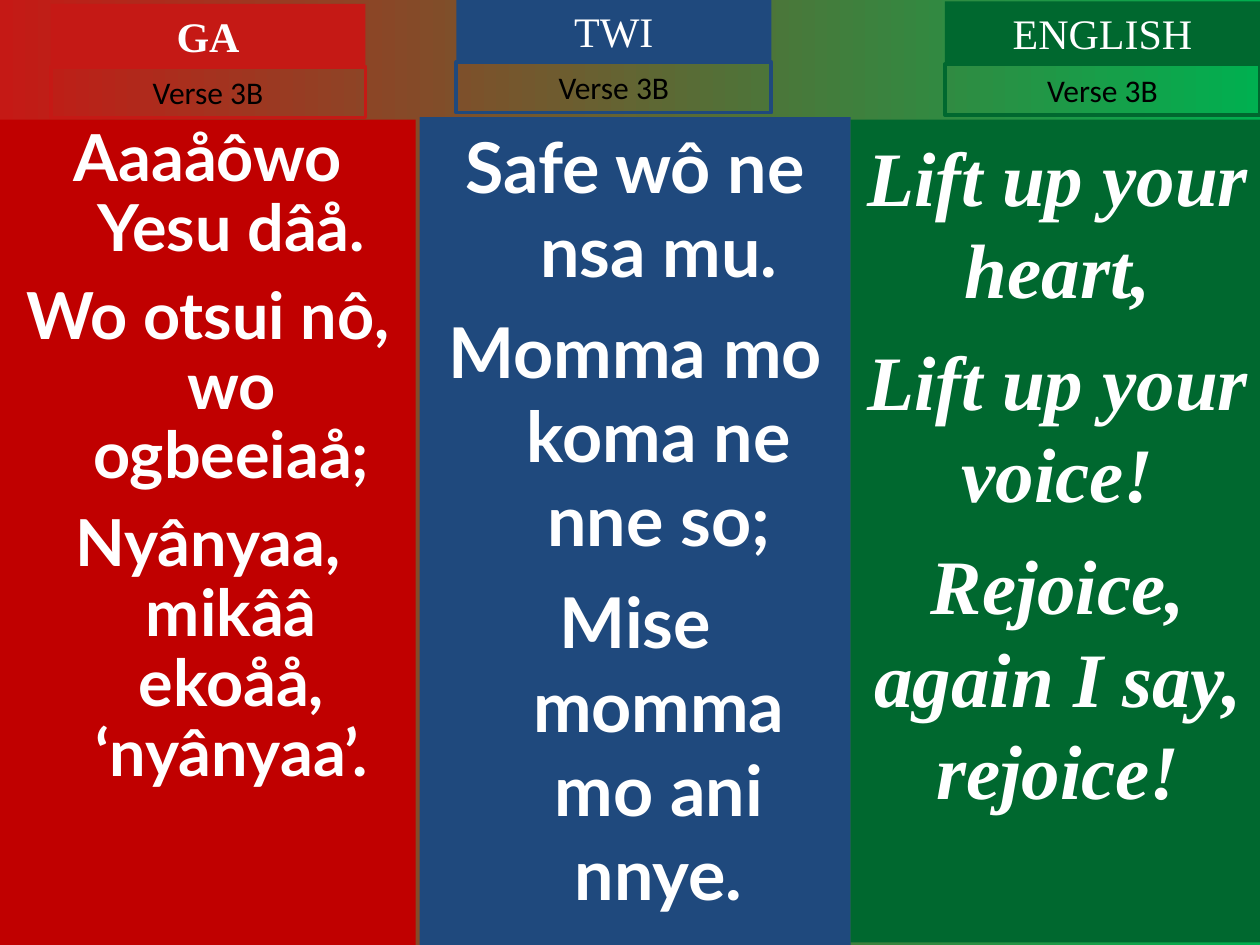
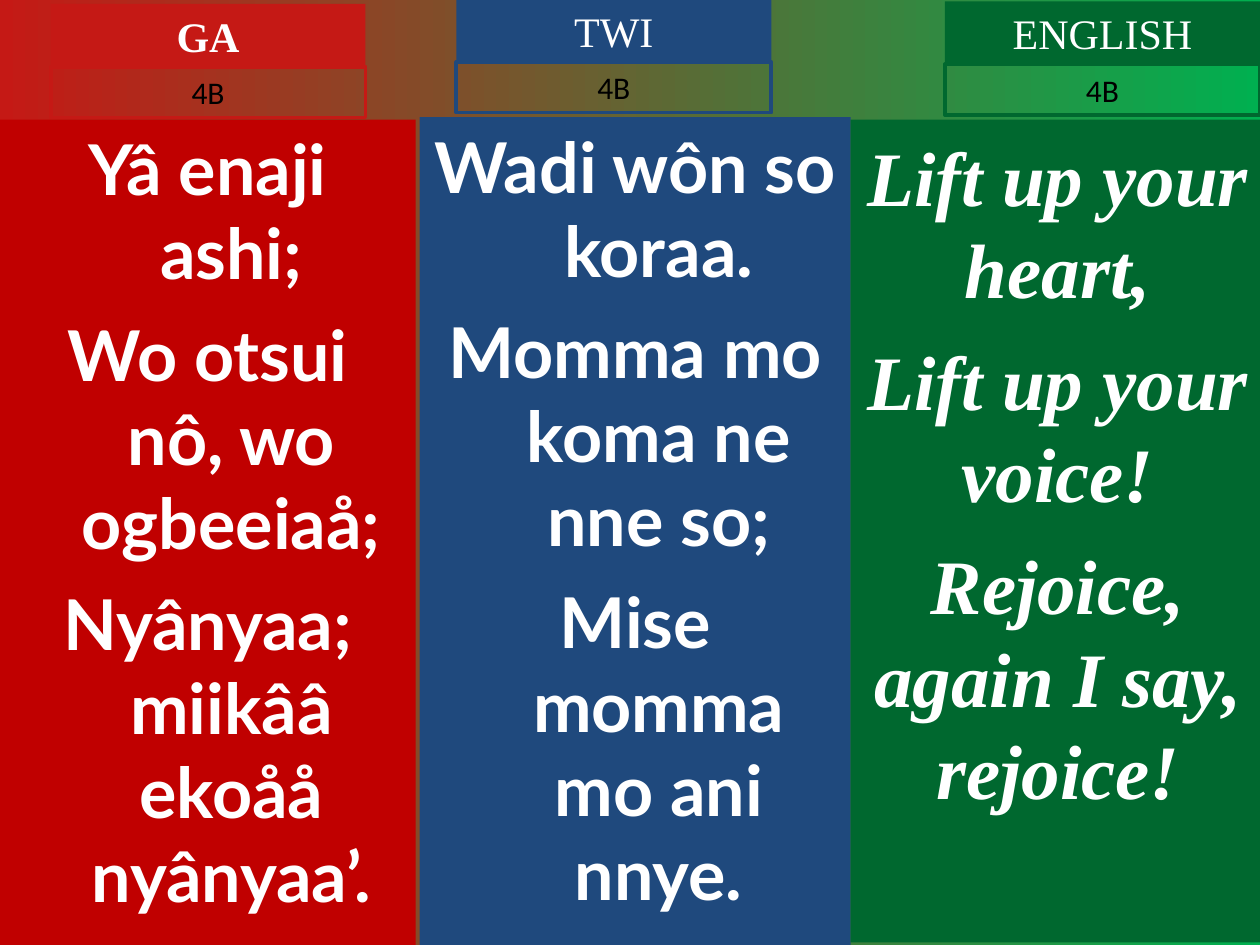
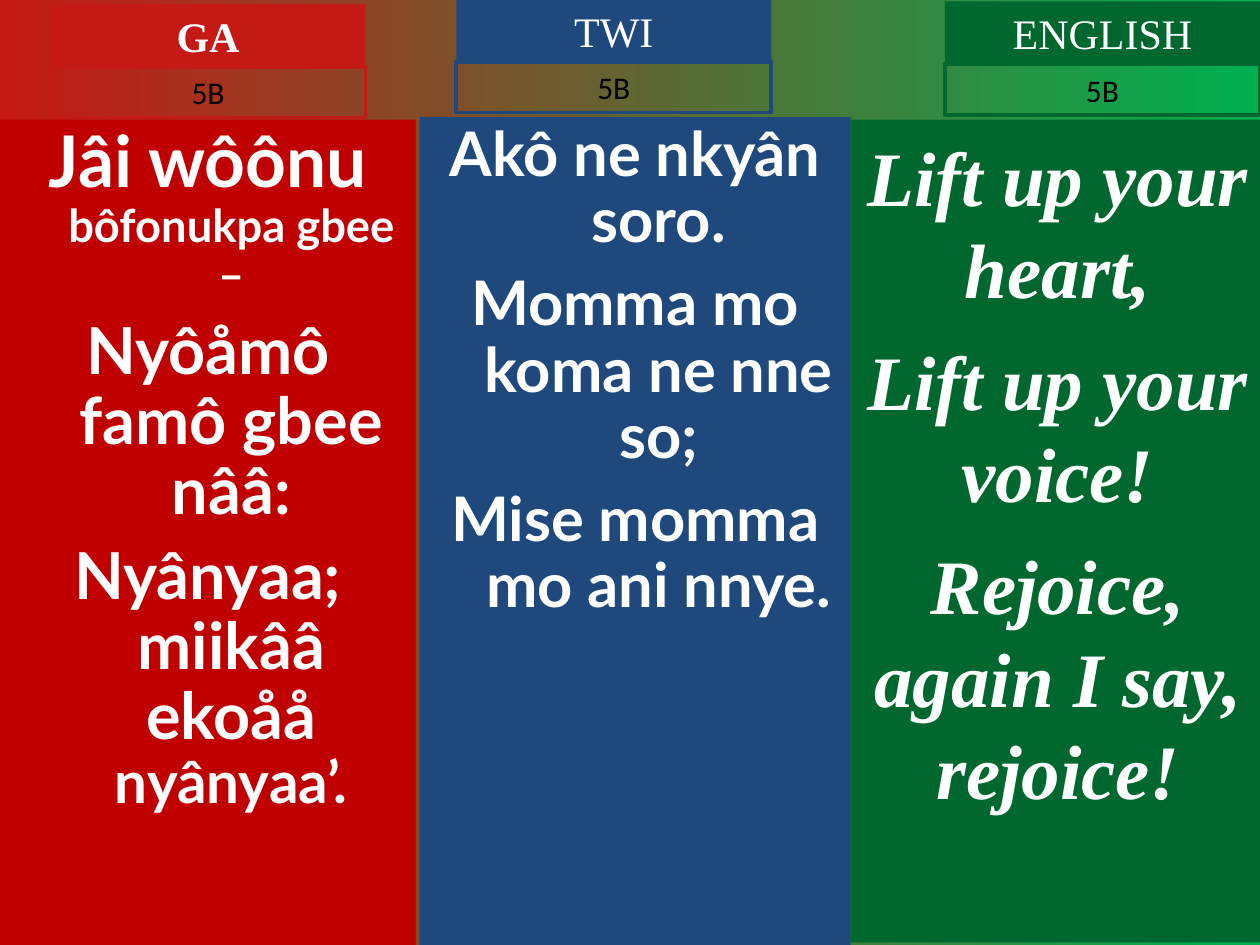
import pptx
import pptx.dml.color
import pptx.enum.shapes
import pptx.enum.text
import pptx.util
from dataclasses import dataclass

Cm = pptx.util.Cm
Pt = pptx.util.Pt
RGB = pptx.dml.color.RGBColor

RED = RGB(0xC5, 0x19, 0x15)
DEEP = RGB(0xC0, 0x00, 0x00)
BLUE = RGB(0x1F, 0x49, 0x7D)
GREEN = RGB(0x00, 0x68, 0x2F)
LIME = RGB(0x00, 0xB0, 0x50)
WHITE = RGB(0xFF, 0xFF, 0xFF)
BLACK = RGB(0x00, 0x00, 0x00)

LATO, TIMES, BODY = "Lato", "Times New Roman", "Calibri"
HANG = 0.95
HEAD_W, HEAD_H, TAG_H = 6.35, 1.27, 1.02


@dataclass
class Column:
    name: str
    box: tuple
    fill: RGB
    head: tuple  # left and top of the heading
    tint: RGB
    font: str = LATO
    bold: bool = False  # heading weight
    slant: bool = False
    hang: float = HANG
    inset: float = 0.13


@dataclass
class Verse:
    """Paragraphs are lists of (text, size) runs."""
    paras: list
    lead: object = 1.0
    gaps: tuple = (0, 10, 10)


def plain(lines, size, **style):
    return Verse([[(line, size)] for line in lines], **style)


COLS = [
    Column("GA", (0, 2.41, 8.38, 16.64), DEEP, (1.02, 0.08), RED, bold=True),
    Column("TWI", (8.46, 2.36, 8.69, 16.69), BLUE, (9.2, -0.02), BLUE),
    Column("ENGLISH", (17.15, 2.41, 8.36, 16.59), GREEN, (19.05, 0.03), GREEN,
           font=TIMES, slant=True, hang=0, inset=0.2),
]

CALL = ["Momma mo koma ne nne so;", "Mise momma mo ani nnye."]
LIFT = plain(["Lift up your heart,", "Lift up your voice!",
              "Rejoice, again I say, rejoice!"],
             44, lead=Pt(52.8), gaps=(0, 11, 11))

SONG = [
    ("Verse 3B", [
        plain(["Aaaåôwo Yesu dâå.", "Wo otsui nô, wo ogbeeiaå;",
               "Nyânyaa, mikââ ekoåå, ‘nyânyaa’."], 37, lead=0.9),
        plain(["Safe wô ne nsa mu."] + CALL, 40),
        LIFT]),
    ("4B", [
        plain(["Yâ enaji ashi;", "Wo otsui nô, wo ogbeeiaå;",
               "Nyânyaa; miikââ ekoåå nyânyaa’."], 40),
        plain(["Wadi wôn so koraa."] + CALL, 40),
        LIFT]),
    ("5B", [
        Verse([[("Jâi wôônu ", 40.7), ("bôfonukpa gbee –", 25.9)],
               [("Nyôåmô famô gbee nââ:", 37)],
               [("Nyânyaa; miikââ ekoåå ", 37), ("nyânyaa’.", 33.3)]],
              lead=0.9, gaps=(0, 10, 9)),
        plain(["Akô ne nkyân soro."] + CALL, 35.1, lead=0.9,
              gaps=(0, 9.5, 9.5)),
        LIFT]),
]


def block(slide, box, fill=None, line=None, inset=0.13):
    """Add a rectangle and return its top-anchored text frame."""
    shape = slide.shapes.add_shape(
        pptx.enum.shapes.MSO_SHAPE.RECTANGLE, *map(Cm, box))
    shape.shadow.inherit = False
    if fill is None:
        shape.fill.background()
    else:
        shape.fill.solid()
        shape.fill.fore_color.rgb = fill
    if line is None:
        shape.line.fill.background()
    else:
        shape.line.color.rgb = line
        shape.line.width = Pt(2.25)
    frame = shape.text_frame
    frame.word_wrap = True
    frame.vertical_anchor = pptx.enum.text.MSO_ANCHOR.TOP
    frame.margin_left = frame.margin_right = Cm(0.25)
    frame.margin_top, frame.margin_bottom = Cm(inset), Cm(0.13)
    return frame


def write(para, text, size, font, color, bold=False, slant=False):
    para.alignment = pptx.enum.text.PP_ALIGN.CENTER
    run = para.add_run()
    run.text = text
    run.font.size = Pt(size)
    run.font.name = font
    run.font.color.rgb = color
    run.font.bold = bold
    run.font.italic = slant


def lyrics(slide, col, verse):
    frame = block(slide, col.box, fill=col.fill, inset=col.inset)
    for i, (runs, gap) in enumerate(zip(verse.paras, verse.gaps)):
        para = frame.add_paragraph() if i else frame.paragraphs[0]
        para.line_spacing = verse.lead
        para.space_before = Pt(gap)
        if col.hang:
            props = para._p.get_or_add_pPr()
            props.set("marL", str(Cm(col.hang)))
            props.set("indent", str(-Cm(col.hang)))
        for text, size in runs:
            write(para, text, size, col.font, WHITE, True, col.slant)


def header(slide, col, tag):
    left, top = col.head
    name = block(slide, (left, top, HEAD_W, HEAD_H), fill=col.tint)
    write(name.paragraphs[0], col.name, 24, TIMES, WHITE, col.bold)
    part = block(slide, (left, top + HEAD_H, HEAD_W, TAG_H), line=col.tint)
    write(part.paragraphs[0], tag, 18, BODY, BLACK)


def backdrop(master):
    fill = master.background.fill
    fill.gradient()
    fill.gradient_angle = 0
    for stop, color in zip(fill.gradient_stops, (RED, LIME)):
        stop.color.rgb = color


def main():
    deck = pptx.Presentation()
    deck.slide_width, deck.slide_height = Cm(25.4), Cm(19.05)
    backdrop(deck.slide_master)
    for tag, verses in SONG:
        slide = deck.slides.add_slide(deck.slide_layouts[6])
        for col, verse in zip(COLS, verses):
            lyrics(slide, col, verse)
            header(slide, col, tag)
    deck.save("out.pptx")


if __name__ == "__main__":
    main()
